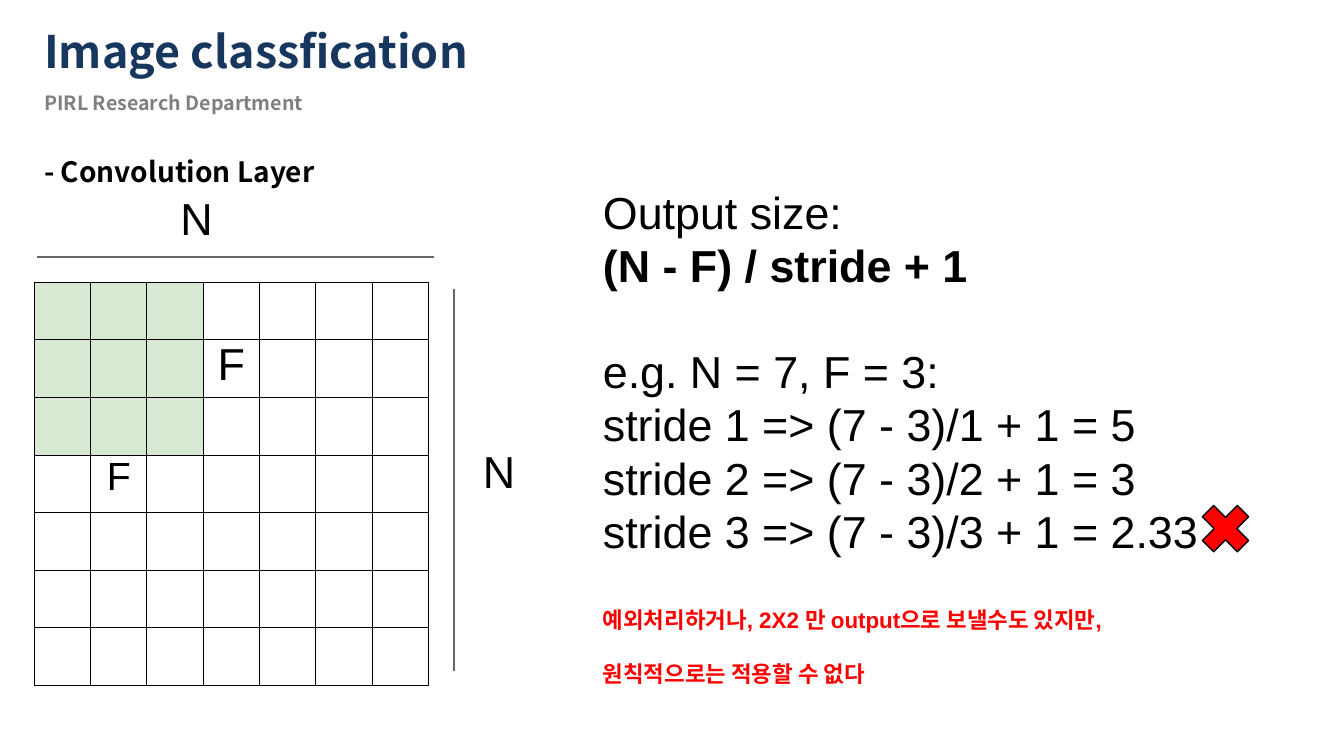
import pptx
import pptx.util
import pptx.dml.color
import pptx.enum.shapes
import pptx.enum.text
import pptx.oxml
import pptx.oxml.ns
from lxml import etree

Inches, Pt = pptx.util.Inches, pptx.util.Pt
qn = pptx.oxml.ns.qn
RGB = pptx.dml.color.RGBColor.from_string
COLORS = {"navy": "17375E", "gray": "808080", "black": "000000",
          "red": "FF0000", "green": "D8E9D3", "rule": "666666"}
KOREAN = "Noto Sans CJK KR"

prs = pptx.Presentation()
prs.slide_width, prs.slide_height = Inches(13.33), Inches(7.5)
s = prs.slides.add_slide(prs.slide_layouts[6])


def add_run(p, text, size, color="black", name="Arial", bold=False):
    r = p.add_run()
    r.text = text
    for key, value in {"size": Pt(size), "name": name, "bold": bold}.items():
        setattr(r.font, key, value)
    r.font.color.rgb = RGB(COLORS[color])
    etree.SubElement(r._r.get_or_add_rPr(), qn("a:ea"), typeface=KOREAN)


def add_text(box, lines, margins, spacing=None, wrap=True, **font):
    tf = s.shapes.add_textbox(*map(Inches, box)).text_frame
    tf.word_wrap = wrap
    for side, value in zip(("left", "top", "right", "bottom"), margins):
        setattr(tf, f"margin_{side}", Inches(value))
    for i, (text, bold) in enumerate(lines):
        p = tf.add_paragraph() if i else tf.paragraphs[0]
        if spacing:
            p.line_spacing = Pt(spacing)
        add_run(p, text, bold=bold, **font)


# Headings
for text, box, size, color in [
    ("Image classfication", (0.34, 0.24, 6.23, 0.64), 32, "navy"),
    ("PIRL Research Department", (0.34, 0.9, 6.03, 0.22), 14, "gray"),
    ("- Convolution Layer", (0.34, 1.53, 8.32, 0.44), 20, "black"),
]:
    add_text(box, [(text, True)], (0.1, 0, 0.1, 0),
             size=size, color=color, name=KOREAN)

# Side lengths of the input
for x1, y1, x2, y2 in [(0.37, 2.55, 4.3, 2.55), (4.5, 2.87, 4.5, 6.66)]:
    line = s.shapes.add_connector(pptx.enum.shapes.MSO_CONNECTOR.STRAIGHT,
                                  *map(Inches, (x1, y1, x2, y2)))
    line.line.color.rgb = RGB(COLORS["rule"])
    line.line.width = Pt(1.5)
    etree.SubElement(line._element.spPr, qn("a:effectLst"))

TIGHT = (0.02, 0.04, 0, 0)
for x, y in [(1.77, 1.85), (4.77, 4.36)]:
    add_text((x, y, 0.36, 0.56), [("N", False)], TIGHT, wrap=False, size=32)

# Formula and examples
add_text((5.96, 1.79, 3.65, 1.08),
         [("Output size:", False), ("(N - F) / stride + 1", True)],
         TIGHT, 38.2, size=32)
examples = [("e.g. N = 7, F = 3:", False)]
for stride, result in enumerate(("5", "3", "2.33"), 1):
    examples.append((f"stride {stride} => (7 - 3)/{stride} + 1 = {result}", False))
add_text((5.96, 3.37, 6.3, 2.15), examples, TIGHT, 38.2, size=32)
add_text((5.96, 5.71, 5.41, 1.08),
         [("예외처리하거나, 2X2 만 output으로 보낼수도 있지만, 원칙적으로는 적용할 수 없다", True)],
         TIGHT, 38.2, size=16, color="red")

# Cross for the stride that does not fit
cross = s.shapes.add_shape(pptx.enum.shapes.MSO_SHAPE.MATH_MULTIPLY,
                           *map(Inches, (11.82, 4.91, 0.67, 0.67)))
cross.shadow.inherit = False
cross.fill.solid()
cross.fill.fore_color.rgb = RGB(COLORS["red"])
cross.line.color.rgb = RGB(COLORS["black"])
cross.line.width = Pt(1)

# Input grid with the filter in its top left corner
N, F = 7, 3
table = s.shapes.add_table(N, N, *map(Inches, (0.34, 2.8, 3.91, 4))).table
table.first_row = table.horz_banding = False
labels = {(1, 3): 32, (3, 1): 28}
for row in range(N):
    table.rows[row].height = Inches(4 / N)
    table.columns[row].width = Inches(3.91 / N)
    for col in range(N):
        cell = table.cell(row, col)
        for side in ("left", "top", "right", "bottom"):
            setattr(cell, f"margin_{side}", 0)
        if (row, col) in labels:
            p = cell.text_frame.paragraphs[0]
            p.alignment = pptx.enum.text.PP_ALIGN.CENTER
            add_run(p, "F", labels[row, col])
        tcPr = cell._tc.get_or_add_tcPr()
        for edge in ("a:lnL", "a:lnR", "a:lnT", "a:lnB"):
            ln = etree.SubElement(tcPr, qn(edge), w=str(Pt(0.75)))
            fill = etree.SubElement(ln, qn("a:solidFill"))
            etree.SubElement(fill, qn("a:srgbClr"), val=COLORS["black"])
        if row < F and col < F:
            cell.fill.solid()
            cell.fill.fore_color.rgb = RGB(COLORS["green"])
        else:
            cell.fill.background()

prs.save("out.pptx")
